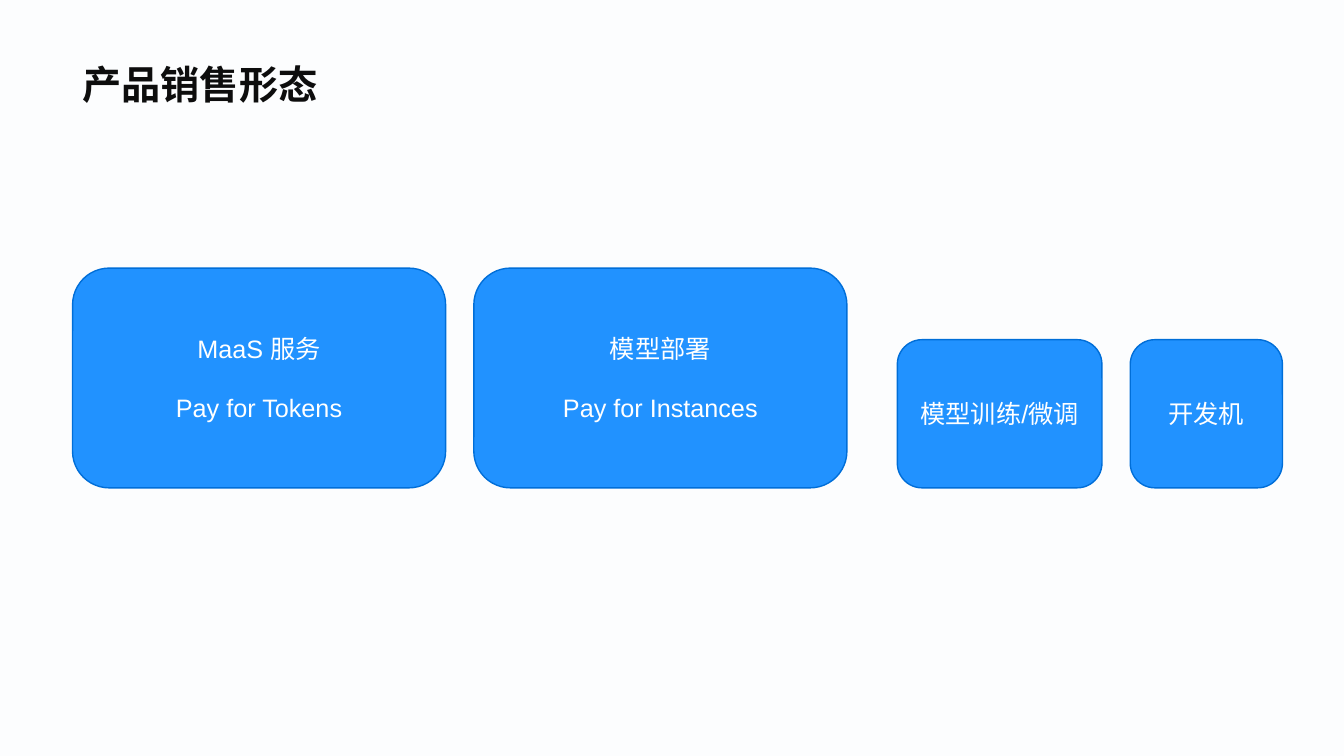
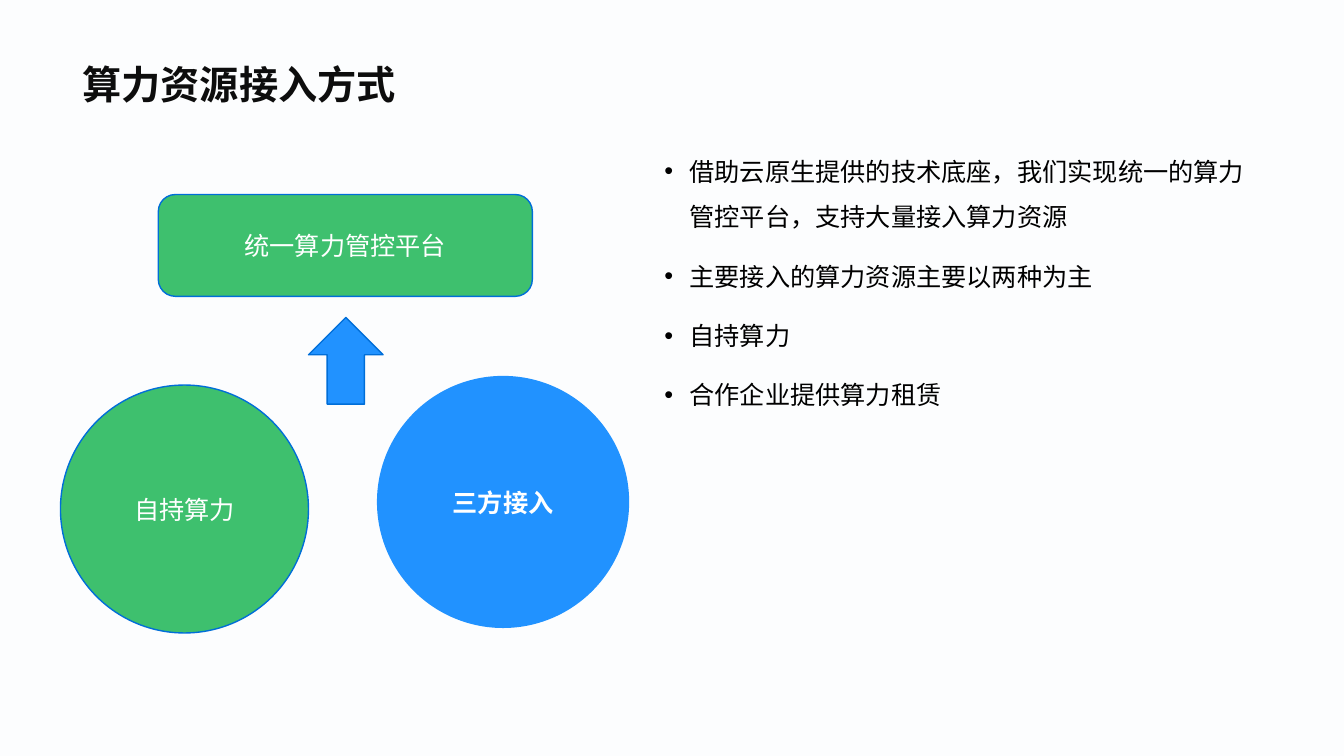
import pptx
import pptx.util
import pptx.dml.color
import pptx.enum.shapes
import pptx.enum.text
import pptx.oxml.ns
import lxml.etree

Inches = pptx.util.Inches
Pt = pptx.util.Pt
KIND = pptx.enum.shapes.MSO_SHAPE
ALIGN = pptx.enum.text.PP_ALIGN
ANCHOR = pptx.enum.text.MSO_ANCHOR

BACK, INK, BLACK, WHITE = "FCFDFE", "0D0D0D", "000000", "FFFFFF"
BLUE, GREEN, EDGE = "2192FF", "3EC06E", "006ED8"
LATIN, HAN = "Arial", "Noto Sans CJK SC"

SALES = "产品销售形态"
# Lines, left, width, height; all boxes stand on one base line.
OFFERS = [
    (["MaaS 服务", "Pay for Tokens"], 0.72, 3.7, 2.18),
    (["模型部署", "Pay for Instances"], 4.7, 3.7, 2.18),
    (["模型训练/微调"], 8.9, 2.03, 1.47),
    (["开发机"], 11.21, 1.51, 1.47),
]
BASE = 4.84

ACCESS = "算力资源接入方式"
POINTS = [
    "借助云原生提供的技术底座，我们实现统一的算力管控平台，支持大量接入算力资源",
    "主要接入的算力资源主要以两种为主",
    "自持算力",
    "合作企业提供算力租赁",
]


def color(code):
    return pptx.dml.color.RGBColor.from_string(code)


def style(para, size, ink, face=LATIN, bold=False):
    font = para.font
    font.size, font.bold, font.name = Pt(size), bold, face
    font.color.rgb = color(ink)
    tag = pptx.oxml.ns.qn
    latin = para._p.pPr.find(".//" + tag("a:latin"))
    asian = lxml.etree.Element(tag("a:ea"), typeface=HAN)
    latin.addnext(asian)


def fill_text(frame, lines):
    """Put one line in each paragraph and return the paragraphs."""
    frame.word_wrap = True
    for spot, line in enumerate(lines):
        para = frame.add_paragraph() if spot else frame.paragraphs[0]
        para.text = line
    return frame.paragraphs


def add_text(slide, lines, *place):
    box = slide.shapes.add_textbox(*map(Inches, place))
    return box.text_frame, fill_text(box.text_frame, lines)


def add_slide(deck, title):
    slide = deck.slides.add_slide(deck.slide_layouts[6])
    frame, paras = add_text(slide, [title], 0.72, 0, 11.88, 1.12)
    frame.vertical_anchor = ANCHOR.BOTTOM
    paras[0].line_spacing = 0.9
    style(paras[0], 28, INK, HAN, True)
    return slide


def add_block(slide, kind, lines, place, fill=BLUE, edge=EDGE, width=1, bold=False):
    block = slide.shapes.add_shape(kind, *map(Inches, place))
    block.shadow.inherit = False
    block.fill.solid()
    block.fill.fore_color.rgb = color(fill)
    block.line.color.rgb = color(edge)
    block.line.width = Pt(width)
    if not lines:
        return
    frame = block.text_frame
    frame.margin_left = frame.margin_right = Inches(0.05)
    frame.vertical_anchor = ANCHOR.MIDDLE
    for spot, para in enumerate(fill_text(frame, lines)):
        para.alignment = ALIGN.CENTER
        para.space_before = Pt(21 if spot else 0)
        style(para, 18, WHITE, bold=bold)


def add_points(slide, points, *place):
    for para in add_text(slide, points, *place)[1]:
        para.line_spacing = 1.5
        para.space_before = Pt(10)
        style(para, 18, BLACK, HAN)
        props = para._p.pPr
        props.set("marL", str(Inches(0.25)))
        props.set("indent", str(-Inches(0.25)))
        tag = pptx.oxml.ns.qn
        face = lxml.etree.Element(tag("a:buFont"), typeface=LATIN)
        mark = lxml.etree.Element(tag("a:buChar"), char="•")
        props.find(tag("a:defRPr")).addprevious(face)
        face.addnext(mark)


def build_sales(deck):
    slide = add_slide(deck, SALES)
    for lines, left, width, height in OFFERS:
        place = (left, BASE - height, width, height)
        add_block(slide, KIND.ROUNDED_RECTANGLE, lines, place)


def build_access(deck):
    slide = add_slide(deck, ACCESS)
    add_block(slide, KIND.OVAL, ["自持算力"], (0.6, 3.82, 2.46, 2.46), GREEN)
    add_block(slide, KIND.OVAL, ["三方接入"], (3.76, 3.75, 2.46, 2.46),
              edge=BLUE, width=3, bold=True)
    add_block(slide, KIND.ROUNDED_RECTANGLE, ["统一算力管控平台"],
              (1.57, 1.93, 3.71, 1.01), GREEN)
    add_block(slide, KIND.UP_ARROW, [], (3.06, 3.15, 0.74, 0.86))
    add_points(slide, POINTS, 6.49, 1.35, 6.12, 5.47)


def main():
    deck = pptx.Presentation()
    deck.slide_width, deck.slide_height = Inches(13.33), Inches(7.5)
    back = deck.slide_master.background.fill
    back.solid()
    back.fore_color.rgb = color(BACK)
    build_sales(deck)
    build_access(deck)
    deck.save("out.pptx")


if __name__ == "__main__":
    main()
